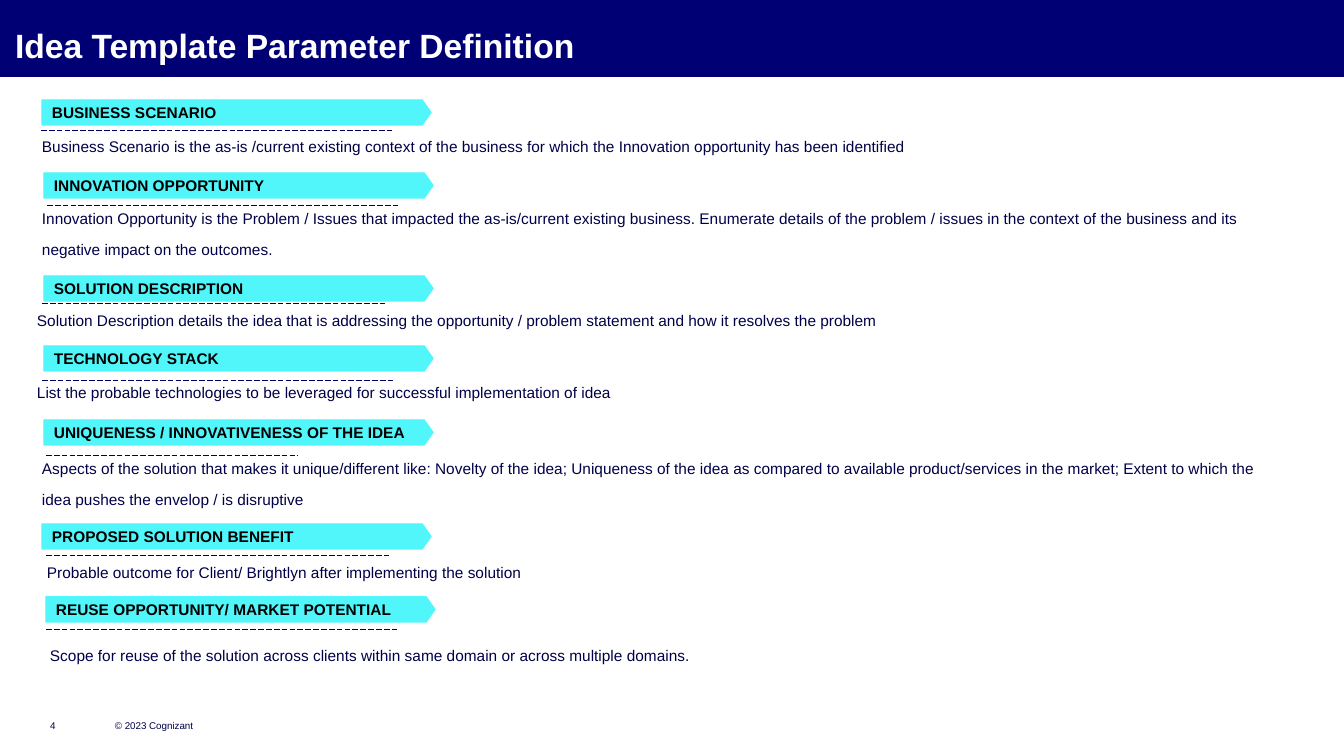
import pptx
import pptx.util
import pptx.dml.color
import pptx.enum.dml
import pptx.enum.shapes
import pptx.enum.text
import pptx.oxml.ns
from dataclasses import dataclass
from lxml import etree

TITLE = "Idea Template Parameter Definition"
FOOTERS = [
    ("4", (50, 710, 39, 21)),
    ("© 2023 Cognizant", (115, 710, 132, 21)),
]
SECTIONS = [
    {"heading": "BUSINESS SCENARIO", "banner": (42, 100), "rule": (41, 130, 353),
     "body": (42, 125, 1231, 36),
     "text": "Business Scenario is the as-is /current existing context of the business for which "
             "the Innovation opportunity has been identified"},
    {"heading": "INNOVATION OPPORTUNITY", "banner": (44, 173), "rule": (47, 205, 353),
     "body": (42, 197, 1230, 64),
     "text": "Innovation Opportunity is the Problem / Issues that impacted the as-is/current "
             "existing business. Enumerate details of the problem / issues in the context of "
             "the business and its negative impact on the outcomes."},
    {"heading": "SOLUTION DESCRIPTION", "banner": (44, 276), "rule": (42, 303, 343),
     "body": (37, 299, 1235, 38),
     "text": "Solution Description details the idea that is addressing the opportunity / "
             "problem statement and how it resolves the problem"},
    {"heading": "TECHNOLOGY STACK", "banner": (44, 346), "rule": (42, 380, 353),
     "body": (37, 371, 1236, 43),
     "text": "List the probable technologies to be leveraged for successful implementation of idea"},
    {"heading": "UNIQUENESS / INNOVATIVENESS OF THE IDEA", "banner": (44, 420),
     "rule": (46, 455, 252), "body": (42, 447, 1235, 67),
     "text": "Aspects of the solution that makes it unique/different like: Novelty of the idea; "
             "Uniqueness of the idea as compared to available product/services in the market; "
             "Extent to which the idea pushes the envelop / is disruptive"},
    {"heading": "PROPOSED SOLUTION BENEFIT", "banner": (42, 524), "rule": (46, 555, 343),
     "body": (47, 551, 1230, 37),
     "text": "Probable outcome for Client/ Brightlyn after implementing the solution"},
    {"heading": "REUSE OPPORTUNITY/ MARKET POTENTIAL", "banner": (46, 597),
     "rule": (46, 629, 353), "body": (50, 634, 1230, 32),
     "text": "Scope for reuse of the solution across clients within same domain or across "
             "multiple domains."},
]
BANNER_SIZE = (389, 25)
PX_PER_INCH = 100.8


@dataclass(frozen=True)
class Theme:
    font: str = "Arial"
    header: str = "000074"
    title: str = "FFFFFF"
    banner: str = "50F6FA"
    heading: str = "000000"
    body: str = "000048"
    rule: str = "000063"
    title_size: int = 24
    body_size: int = 11
    footer_size: int = 7
    body_leading: int = 22


THEME = Theme()
ANCHOR = pptx.enum.text.MSO_ANCHOR
SHAPE = pptx.enum.shapes.MSO_SHAPE


def px(length):
    return pptx.util.Emu(round(length * 914400 / PX_PER_INCH))


def color(value):
    return pptx.dml.color.RGBColor.from_string(value)


def write(frame, text, size, ink, bold=False, leading=None):
    frame.word_wrap = True
    para = frame.paragraphs[0]
    para.alignment = pptx.enum.text.PP_ALIGN.LEFT
    if leading:
        para.line_spacing = pptx.util.Pt(leading)
    span = para.add_run()
    span.text = text
    span.font.name = THEME.font
    span.font.size = pptx.util.Pt(size)
    span.font.bold = bold
    span.font.color.rgb = color(ink)


def add_text(page, place, text, size, ink, anchor=ANCHOR.TOP, inset_top=0, **style):
    box = page.shapes.add_textbox(*map(px, place))
    frame = box.text_frame
    frame.margin_left = frame.margin_right = frame.margin_bottom = 0
    frame.margin_top = px(inset_top)
    frame.vertical_anchor = anchor
    write(frame, text, size, ink, **style)


def add_block(page, preset, place, fill):
    block = page.shapes.add_shape(preset, *map(px, place))
    block.shadow.inherit = False
    block.fill.solid()
    block.fill.fore_color.rgb = color(fill)
    block.line.fill.background()
    return block


def add_rule(page, left, top, width):
    rule = page.shapes.add_connector(
        pptx.enum.shapes.MSO_CONNECTOR.STRAIGHT, px(left), px(top), px(left + width), px(top))
    rule.line.color.rgb = color(THEME.rule)
    rule.line.width = pptx.util.Pt(0.5)
    rule.line.dash_style = pptx.enum.dml.MSO_LINE.LONG_DASH
    etree.SubElement(rule._element.spPr, pptx.oxml.ns.qn("a:effectLst"))


def add_section(page, section):
    add_rule(page, *section["rule"])
    banner = add_block(page, SHAPE.PENTAGON, section["banner"] + BANNER_SIZE, THEME.banner)
    banner.adjustments[0] = 0.35
    banner.line.color.rgb = color(THEME.banner)
    banner.line.width = pptx.util.Pt(1)
    banner.text_frame.vertical_anchor = ANCHOR.MIDDLE
    write(banner.text_frame, section["heading"], THEME.body_size, THEME.heading, bold=True)
    add_text(page, section["body"], section["text"], THEME.body_size, THEME.body,
             leading=THEME.body_leading)


def main():
    deck = pptx.Presentation()
    deck.slide_width, deck.slide_height = px(1344), px(756)
    page = deck.slides.add_slide(deck.slide_layouts[6])
    add_block(page, SHAPE.RECTANGLE, (0, 0, 1344, 77), THEME.header)
    add_text(page, (15, 22, 1191, 34), TITLE, THEME.title_size, THEME.title,
             inset_top=3, bold=True)
    for section in SECTIONS:
        add_section(page, section)
    for text, place in FOOTERS:
        add_text(page, place, text, THEME.footer_size, THEME.body, anchor=ANCHOR.BOTTOM)
    deck.save("out.pptx")


if __name__ == "__main__":
    main()
